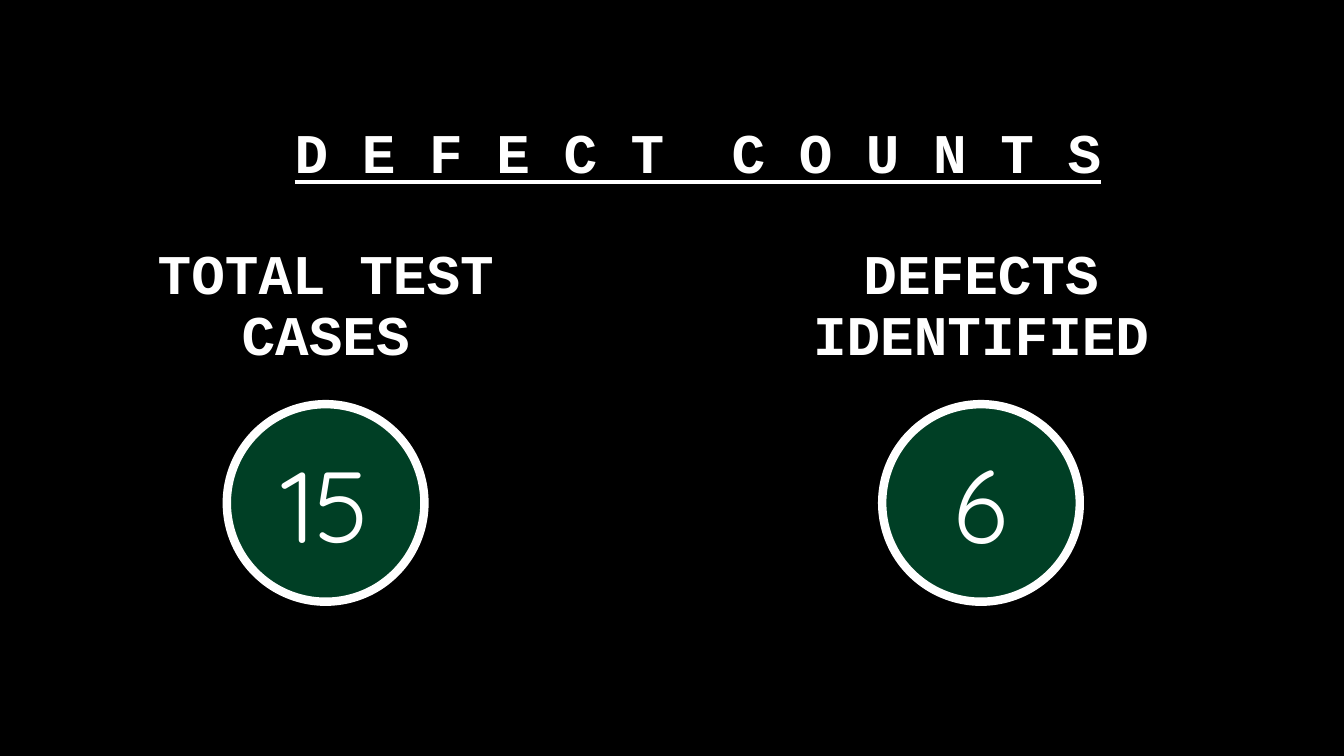
from dataclasses import dataclass

from lxml.etree import SubElement
from pptx import Presentation
from pptx.dml.color import RGBColor as Rgb
from pptx.enum.shapes import MSO_SHAPE as Shape
from pptx.enum.text import MSO_ANCHOR as Anchor, PP_ALIGN as Align
from pptx.oxml.ns import qn
from pptx.util import Inches, Pt


@dataclass(frozen=True)
class Theme:
    background: Rgb = Rgb(0, 0, 0)
    ink: Rgb = Rgb(255, 255, 255)
    badge: Rgb = Rgb(0x01, 0xD1, 0x7D)
    badge_opacity: int = 30  # percent
    ring: int = 6
    heading_font: str = "Courier New"
    heading_size: int = 40
    count_font: str = "Quicksand"
    count_size: int = 72


THEME = Theme()

# Two columns, with a heading row and a badge row (inches)
FIRST_COLUMN, COLUMN_STEP, COLUMN_WIDTH = 1.25, 6.5, 3.96
TITLE_TOP, TITLE_WIDTH = 0.84, 11.34
HEADING_TOP, HEADING_HEIGHT = 2.34, 1.41
BADGE_TOP, BADGE_SIZE = 4.01, 1.96

COUNTS = [("TOTAL TEST CASES", 15), ("DEFECTS IDENTIFIED", 6)]


def write(frame, text, font_name, size):
    """Centre one line of text in a frame."""
    frame.word_wrap = True
    frame.vertical_anchor = Anchor.MIDDLE
    paragraph = frame.paragraphs[0]
    paragraph.text = text
    paragraph.alignment = Align.CENTER
    paragraph.font.name = font_name
    paragraph.font.size = Pt(size)
    paragraph.font.color.rgb = THEME.ink
    return paragraph


def add_heading(slide, text, left, top, width, underline=False):
    box = slide.shapes.add_textbox(
        Inches(left), Inches(top), Inches(width), Inches(HEADING_HEIGHT))
    heading = write(box.text_frame, text, THEME.heading_font, THEME.heading_size)
    heading.line_spacing = 0.9
    heading.font.bold = True
    heading.font.underline = underline


def add_badge(slide, count, left):
    badge = slide.shapes.add_shape(
        Shape.OVAL, Inches(left), Inches(BADGE_TOP),
        Inches(BADGE_SIZE), Inches(BADGE_SIZE))
    badge.shadow.inherit = False
    badge.fill.solid()
    badge.fill.fore_color.rgb = THEME.badge
    # Translucent fill
    tint = badge.fill._xPr.find(qn("a:solidFill"))[0]
    SubElement(tint, qn("a:alpha"), val=str(THEME.badge_opacity * 1000))
    badge.line.color.rgb = THEME.ink
    badge.line.width = Pt(THEME.ring)
    write(badge.text_frame, str(count), THEME.count_font, THEME.count_size)


def main():
    deck = Presentation()
    deck.slide_width, deck.slide_height = Inches(13.33), Inches(7.5)
    slide = deck.slides.add_slide(deck.slide_layouts[6])
    slide.background.fill.solid()
    slide.background.fill.fore_color.rgb = THEME.background

    # Slide title
    add_heading(slide, "D E F E C T  C O U N T S", FIRST_COLUMN, TITLE_TOP,
                TITLE_WIDTH, underline=True)

    # A heading above its count in each column
    for column, (label, count) in enumerate(COUNTS):
        left = FIRST_COLUMN + column * COLUMN_STEP
        add_heading(slide, label, left, HEADING_TOP, COLUMN_WIDTH)
        add_badge(slide, count, left + (COLUMN_WIDTH - BADGE_SIZE) / 2)

    deck.save("out.pptx")


if __name__ == "__main__":
    main()
